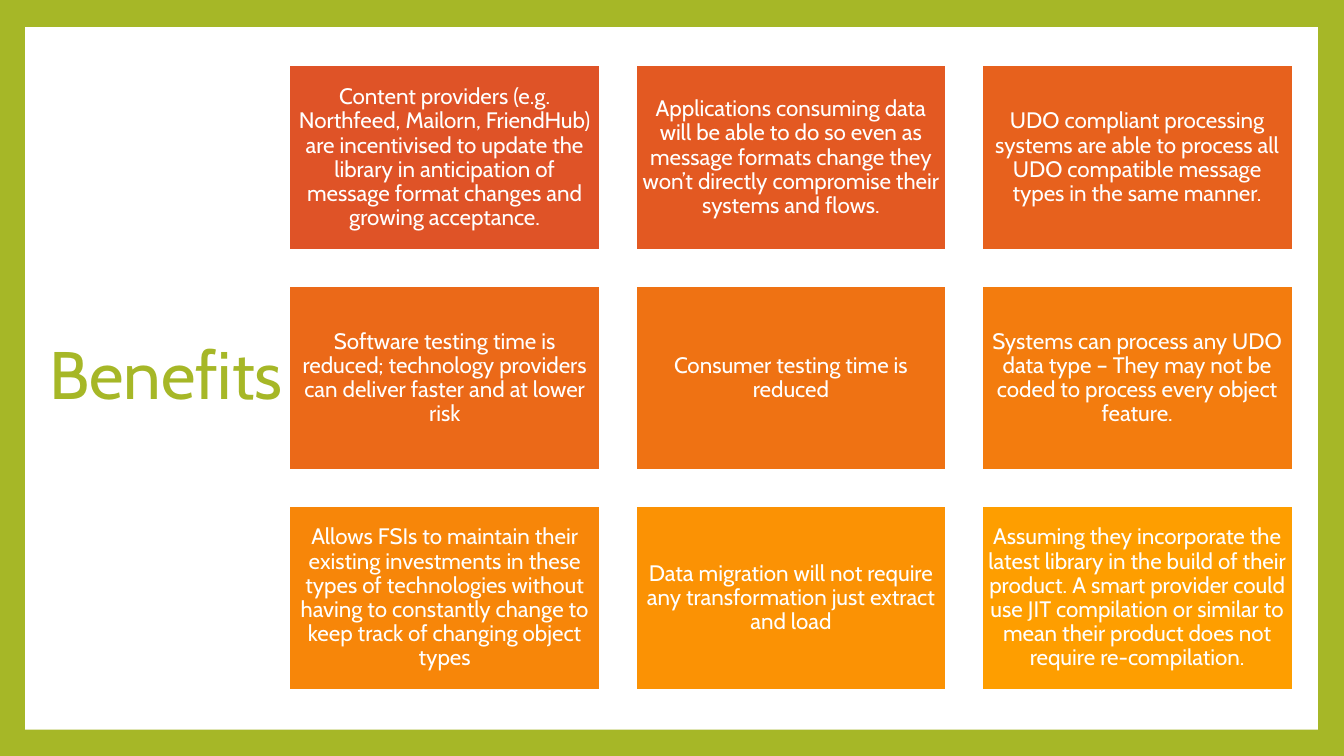
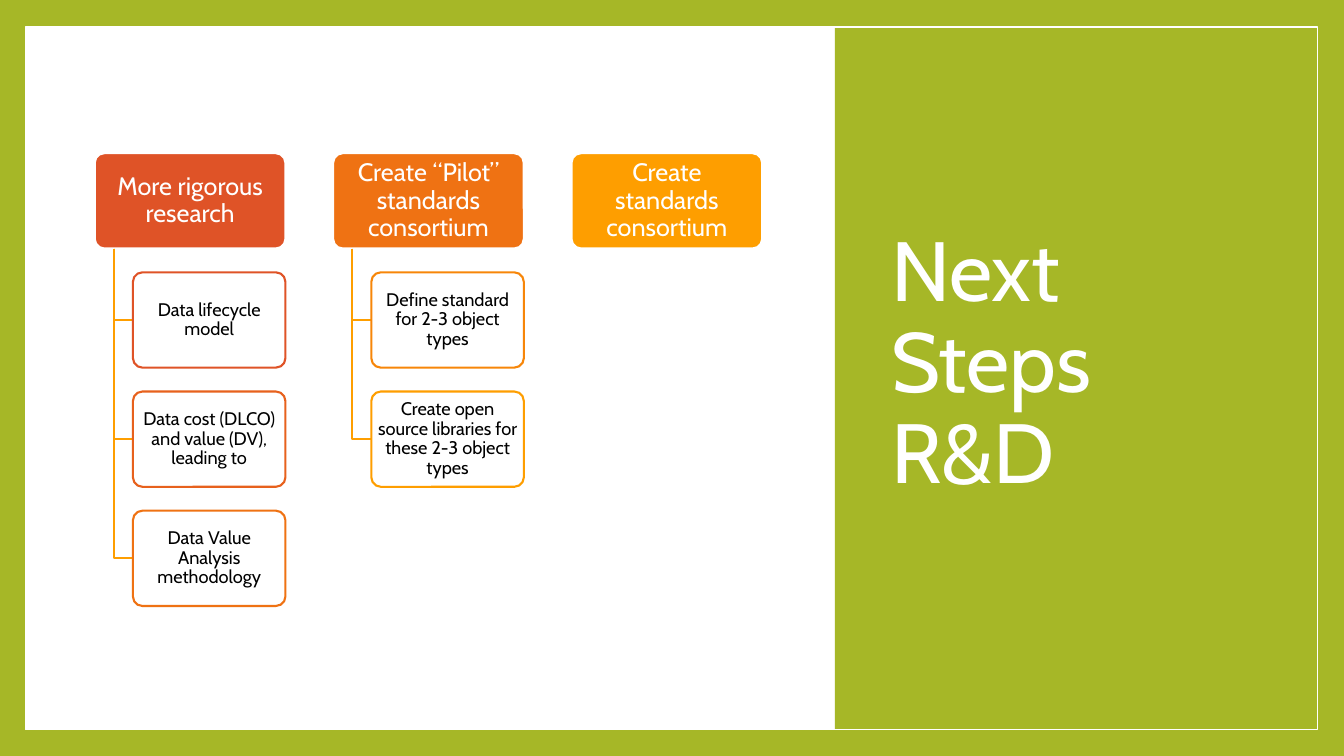
from dataclasses import dataclass

from pptx import Presentation
from pptx.dml.color import RGBColor
from pptx.enum.shapes import MSO_SHAPE
from pptx.enum.text import MSO_ANCHOR, PP_ALIGN
from pptx.util import Inches, Pt

FONT = "Cabin"
GREEN = RGBColor(0xA6, 0xB7, 0x27)
WHITE = RGBColor(0xFF, 0xFF, 0xFF)
BLACK = RGBColor(0x00, 0x00, 0x00)
# Red to amber, in nine steps
RAMP = [RGBColor.from_string(code) for code in (
    "DF5327", "E35922", "E7611D", "EB6918", "EF7213",
    "F37C0E", "F78609", "FB9204", "FE9E00")]
AMBER = RAMP[-1]

BENEFITS = [
    "Content providers (e.g. Northfeed, Mailorn, FriendHub) are incentivised to update "
    "the library in anticipation of message format changes and growing acceptance.",
    "Applications consuming data will be able to do so even as message formats change "
    "they won’t directly compromise their systems and flows.",
    "UDO compliant processing systems are able to process all UDO compatible message "
    "types in the same manner.",
    "Software testing time is reduced; technology providers can deliver faster and at "
    "lower risk",
    "Consumer testing time is reduced",
    "Systems can process any UDO data type – They may not be coded to process every "
    "object feature.",
    "Allows FSIs to maintain their existing investments in these types of technologies "
    "without having to constantly change to keep track of changing object types",
    "Data migration will not require any transformation just extract and load",
    "Assuming they incorporate the latest library in the build of their product. A smart "
    "provider could use JIT compilation or similar to mean their product does not "
    "require re-compilation.",
]

# Heading, heading colour, and the steps below it with their outline colours
STEPS = [
    ("More rigorous research", RAMP[0], [
        ("Data lifecycle model", RAMP[0]),
        ("Data cost (DLCO) and value (DV), leading to", RAMP[2]),
        ("Data Value Analysis methodology", RAMP[4])]),
    ("Create “Pilot” standards consortium", RAMP[4], [
        ("Define standard for 2-3 object types", RAMP[6]),
        ("Create open source libraries for these 2-3 object types", RAMP[8])]),
    ("Create standards consortium", RAMP[8], []),
]


@dataclass(frozen=True)
class Box:
    """A rectangle in inches."""
    left: float
    top: float
    width: float
    height: float

    def emu(self):
        return [Inches(v) for v in (self.left, self.top, self.width, self.height)]

    def moved(self, across, down):
        return Box(self.left + across, self.top + down, self.width, self.height)


SLIDE = Box(0, 0, 13.33, 7.5)
PANEL = Box(0.25, 0.27, 12.82, 6.97)


def write(shape, text, size, color, align=PP_ALIGN.CENTER, inset=None):
    """Fill a shape with one paragraph; inset is (sides, top and bottom)."""
    frame = shape.text_frame
    formats = {"word_wrap": True, "vertical_anchor": MSO_ANCHOR.MIDDLE}
    if inset:
        sides, ends = map(Inches, inset)
        formats |= {"margin_left": sides, "margin_right": sides,
                    "margin_top": ends, "margin_bottom": ends}
    for name, value in formats.items():
        setattr(frame, name, value)
    para = frame.paragraphs[0]
    para.text = text
    para.alignment = align
    para.line_spacing = 0.9
    for span in para.runs:
        for name, value in {"name": FONT, "size": Pt(size)}.items():
            setattr(span.font, name, value)
        span.font.color.rgb = color


def paint(shape, fill=None, line=None, weight=1):
    shape.shadow.inherit = False
    if fill is None:
        shape.fill.background()
    else:
        shape.fill.solid()
        shape.fill.fore_color.rgb = fill
    if line is None:
        shape.line.fill.background()
    else:
        shape.line.color.rgb = line
        shape.line.width = Pt(weight)


def add_block(page, box, kind=MSO_SHAPE.RECTANGLE, **look):
    shape = page.shapes.add_shape(kind, *box.emu())
    paint(shape, **look)
    return shape


def add_card(page, box, **look):
    card = add_block(page, box, MSO_SHAPE.ROUNDED_RECTANGLE, weight=1.5, **look)
    card.adjustments[0] = 0.1
    return card


def add_title(page, box, text, size, color):
    write(page.shapes.add_textbox(*box.emu()), text, size, color, PP_ALIGN.LEFT)


def add_framed_page(deck):
    """Blank page with a green border around a white panel."""
    page = deck.slides.add_slide(deck.slide_layouts[6])
    page.background.fill.solid()
    page.background.fill.fore_color.rgb = GREEN
    add_block(page, PANEL, fill=WHITE)
    return page


def add_tile_grid(page, box, texts, columns=3):
    """Lay out the tiles by row, with gaps of a tenth of a tile's width."""
    width = box.width / (columns + 0.1 * (columns - 1))
    gap = 0.1 * width
    rows = len(texts) // columns
    height = (box.height - gap * (rows - 1)) / rows
    first = Box(box.left, box.top, width, height)
    for index, (text, color) in enumerate(zip(texts, RAMP)):
        row, column = divmod(index, columns)
        cell = first.moved(column * (width + gap), row * (height + gap))
        tile = add_block(page, cell, fill=color, line=WHITE, weight=4.25)
        write(tile, text, 16, WHITE, inset=(0.07, 0.07))


def add_elbow(page, heading, step):
    """Line from below the heading down and across to the step's left side."""
    trunk = heading.left + 0.1 * heading.width
    middle = step.top + step.height / 2
    builder = page.shapes.build_freeform(
        Inches(trunk), Inches(heading.top + heading.height))
    builder.add_line_segments(
        [(Inches(trunk), Inches(middle)), (Inches(step.left), Inches(middle))],
        close=False)
    paint(builder.convert_to_shape(), line=AMBER, weight=1.5)


def add_step_column(page, heading, text, color, steps):
    write(add_card(page, heading, fill=color, line=WHITE), text, 18, WHITE,
          inset=(0.04, 0.03))
    indent = 0.2 * heading.width
    first = Box(heading.left + indent, heading.top,
                heading.width - indent, heading.height)
    for level, (label, outline) in enumerate(steps, start=1):
        step = first.moved(0, level * 1.25 * heading.height)
        add_elbow(page, heading, step)
        write(add_card(page, step, fill=WHITE, line=outline), label, 13, BLACK,
              inset=(0.03, 0.02))


def add_step_tree(page, box):
    """Columns a quarter of a heading apart; headings are twice as wide as high."""
    width = box.width / (1.25 * len(STEPS) - 0.25)
    heading = Box(box.left, box.top, width, width / 2)
    for index, (text, color, steps) in enumerate(STEPS):
        add_step_column(page, heading.moved(index * 1.25 * width, 0),
                        text, color, steps)


def build_benefits(deck):
    page = add_framed_page(deck)
    add_title(page, Box(0.39, 0.68, 3.68, 6.13), "Benefits", 48, GREEN)
    add_tile_grid(page, Box(2.85, 0.63, 9.99, 6.24), BENEFITS)


def build_next_steps(deck):
    page = add_framed_page(deck)
    side = Box(8.28, 0, SLIDE.width - 8.28, SLIDE.height)
    add_block(page, side, fill=GREEN)
    add_title(page, Box(side.left + 0.46, 0.67, 3.91, 5.91),
              "Next Steps\nR&D", 60, WHITE)
    add_block(page, PANEL, line=WHITE)
    add_step_tree(page, Box(0.94, 1.52, 6.62, 4.5))


def main():
    deck = Presentation()
    deck.slide_width, deck.slide_height = Inches(SLIDE.width), Inches(SLIDE.height)
    build_benefits(deck)
    build_next_steps(deck)
    deck.save("out.pptx")


if __name__ == "__main__":
    main()
